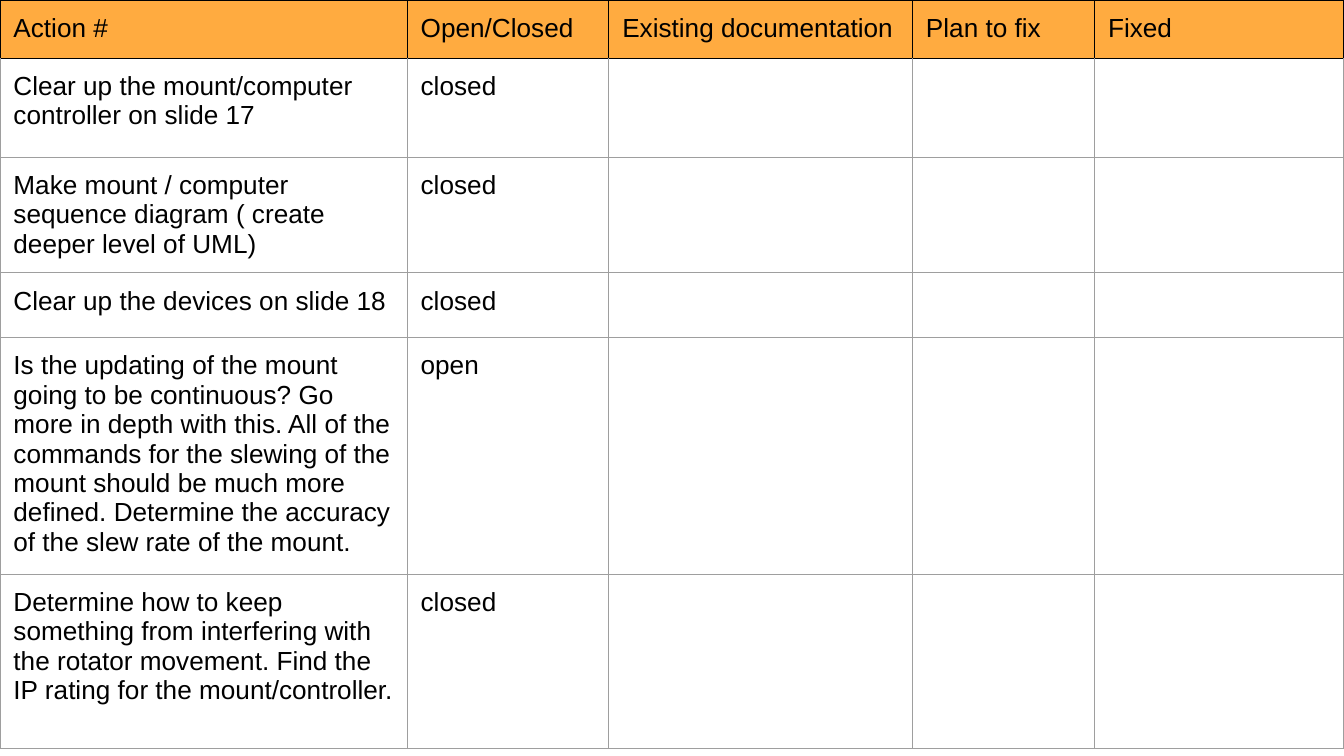
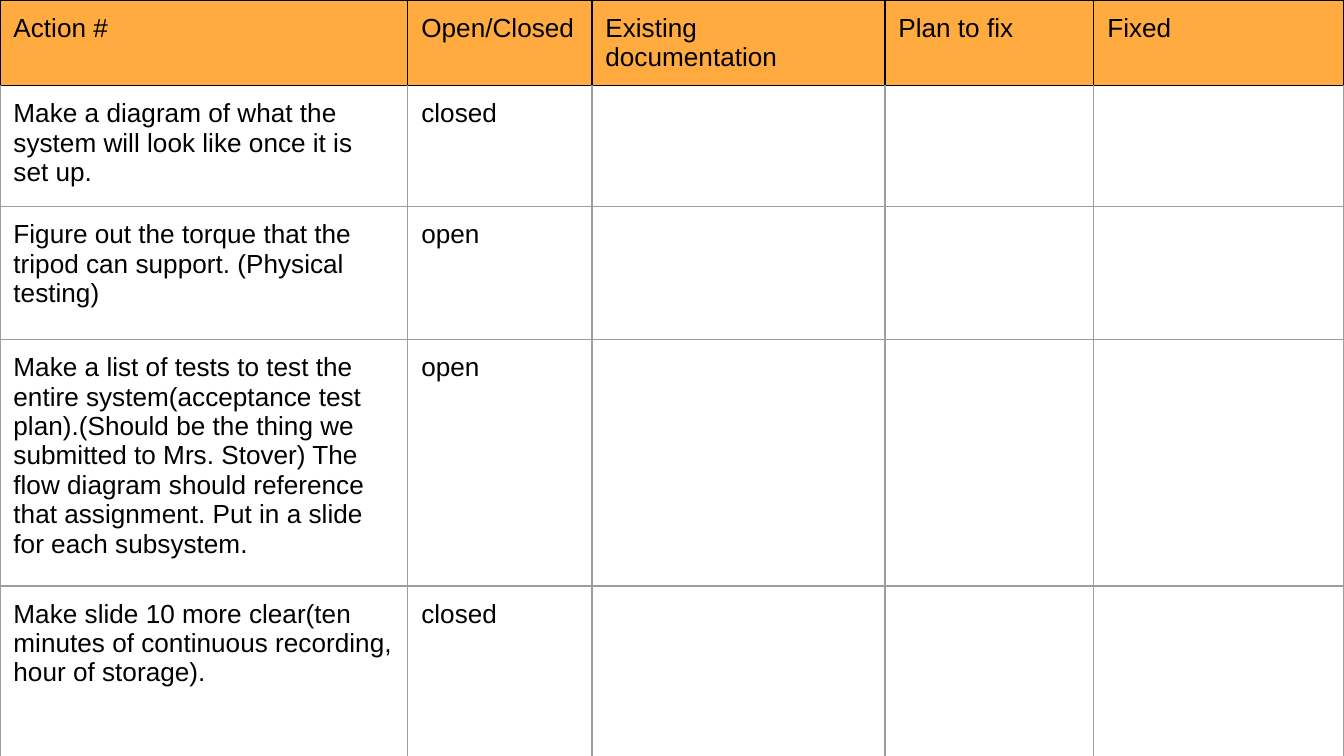
from dataclasses import dataclass

from lxml import etree
from pptx import Presentation
from pptx import util as u
from pptx.dml.color import RGBColor
from pptx.oxml.ns import qn


@dataclass(frozen=True)
class Theme:
    """Colours, type and line weights shared by the slides."""
    font: str = "Arial"
    size: int = 14
    ink: str = "000000"
    header: str = "FFAB40"
    grid: str = "9E9E9E"
    line: float = 0.75
    inset: float = 0.1


THEME = Theme()
SLIDE_WIDTH = u.Inches(10)
SLIDE_HEIGHT = SLIDE_WIDTH * 9 // 16
HEADINGS = ("Action #", "Open/Closed", "Existing documentation", "Plan to fix", "Fixed")

ACTION_SLIDES = [
    {
        "columns": (30.3, 15, 22.6, 13.55, 18.55),
        "rows": (7.7, 13.1, 15.3, 8.6, 31.3, 23),
        "actions": [
            ("Clear up the mount/computer controller on slide 17", "closed"),
            ("Make mount / computer sequence diagram ( create deeper level of UML)", "closed"),
            ("Clear up the devices on slide 18", "closed"),
            ("Is the updating of the mount going to be continuous? Go more in depth with this. "
             "All of the commands for the slewing of the mount should be much more defined. "
             "Determine the accuracy of the slew rate of the mount.", "open"),
            ("Determine how to keep something from interfering with the rotator movement. "
             "Find the IP rating for the mount/controller.", "closed"),
        ],
    },
    {
        "columns": (30.35, 13.7, 21.8, 15.55, 18.6),
        "rows": (11.2, 16, 17.6, 32.6, 26.2),
        "actions": [
            ("Make a diagram of what the system will look like once it is set up.", "closed"),
            ("Figure out the torque that the tripod can support. (Physical testing)", "open"),
            ("Make a list of tests to test the entire system(acceptance test plan)."
             "(Should be the thing we submitted to Mrs. Stover) The flow diagram should "
             "reference that assignment. Put in a slide for each subsystem.", "open"),
            ("Make slide 10 more clear(ten minutes of continuous recording, hour of storage).",
             "closed"),
        ],
    },
]


def apply_format(target, values):
    """Set each named attribute of the target."""
    for name, value in values.items():
        setattr(target, name, value)


def draw_borders(cell, colours):
    """Line the cell's sides with the colours given for L, R, T and B."""
    properties = cell._tc.get_or_add_tcPr()
    for side, colour in colours.items():
        edge = etree.SubElement(properties, qn(f"a:ln{side}"), w=str(u.Pt(THEME.line)))
        fill = etree.SubElement(edge, qn("a:solidFill"))
        etree.SubElement(fill, qn("a:srgbClr"), val=colour)


def write_cell(cell, wording):
    """Write inset text in the shared type style."""
    inset = u.Inches(THEME.inset)
    apply_format(cell, {f"margin_{side}": inset for side in ("left", "top", "right", "bottom")})
    cell.text = wording
    font = cell.text_frame.paragraphs[0].runs[0].font
    apply_format(font, {"name": THEME.font, "size": u.Pt(THEME.size), "bold": False})
    font.color.rgb = RGBColor.from_string(THEME.ink)


def style_cell(cell, row):
    """Give a cell the borders and fill of its row."""
    edge = THEME.grid if row else THEME.ink
    draw_borders(cell, {"L": edge, "R": edge,
                        "T": THEME.ink if row < 2 else THEME.grid, "B": edge})
    if row:
        cell.fill.background()
    else:
        cell.fill.solid()
        cell.fill.fore_color.rgb = RGBColor.from_string(THEME.header)


def add_action_table(slide, box, columns, rows, actions):
    """Place an action table whose columns and rows are percentages of the box."""
    left, top, width, height = box
    table = slide.shapes.add_table(len(rows), len(columns), left, top, width, height).table
    apply_format(table, {"first_row": False, "horz_banding": False})
    for column, share in zip(table.columns, columns):
        column.width = round(width * share / 100)
    for row, share in zip(table.rows, rows):
        row.height = round(height * share / 100)
    for row, entries in enumerate([HEADINGS, *actions]):
        for column in range(len(columns)):
            style_cell(table.cell(row, column), row)
        for column, wording in enumerate(entries):
            write_cell(table.cell(row, column), wording)


def main():
    """Build the action item slides."""
    deck = Presentation()
    apply_format(deck, {"slide_width": SLIDE_WIDTH, "slide_height": SLIDE_HEIGHT})
    for content in ACTION_SLIDES:
        slide = deck.slides.add_slide(deck.slide_layouts[6])
        add_action_table(slide, (0, 0, SLIDE_WIDTH, SLIDE_HEIGHT), **content)
    deck.save("out.pptx")


if __name__ == "__main__":
    main()
